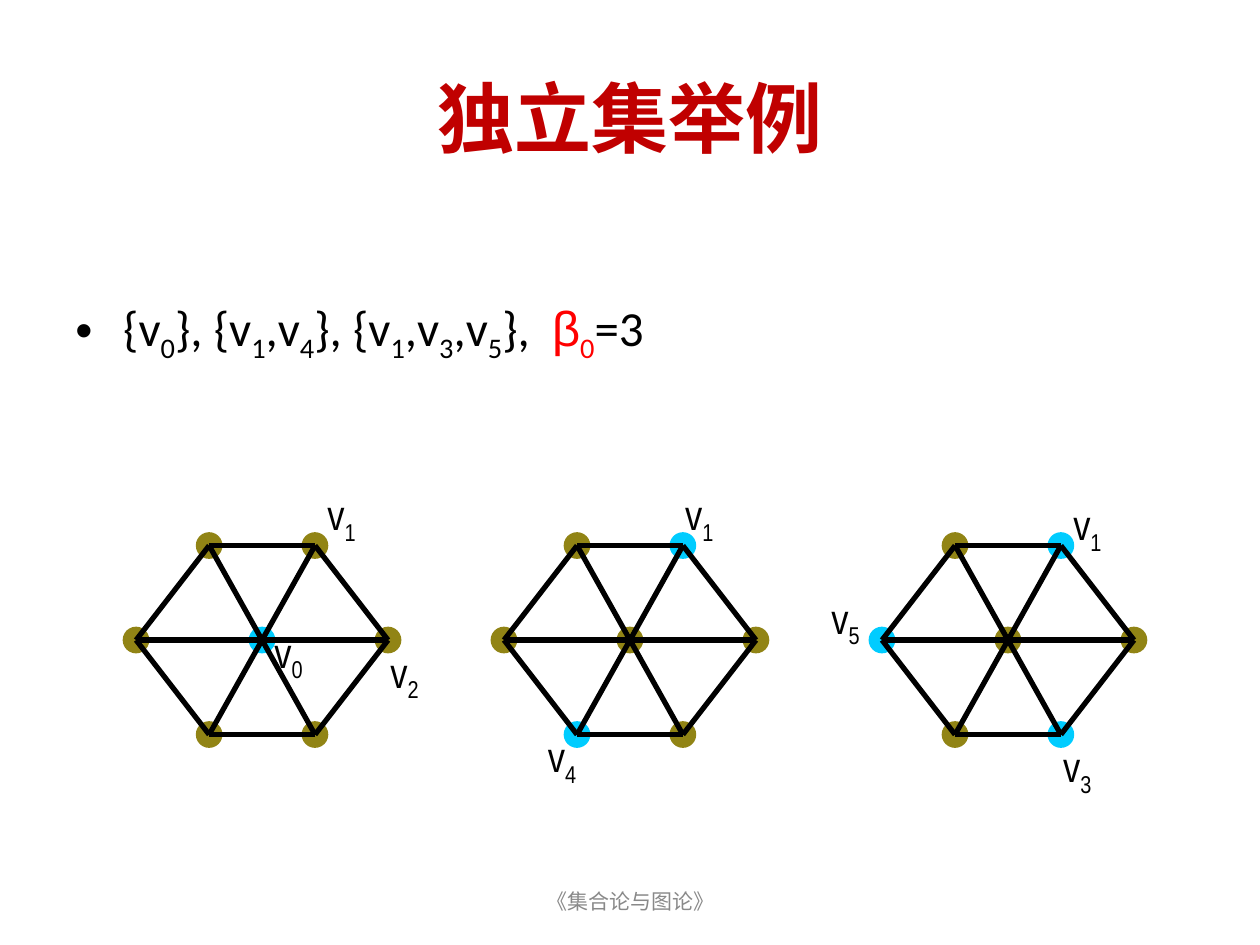
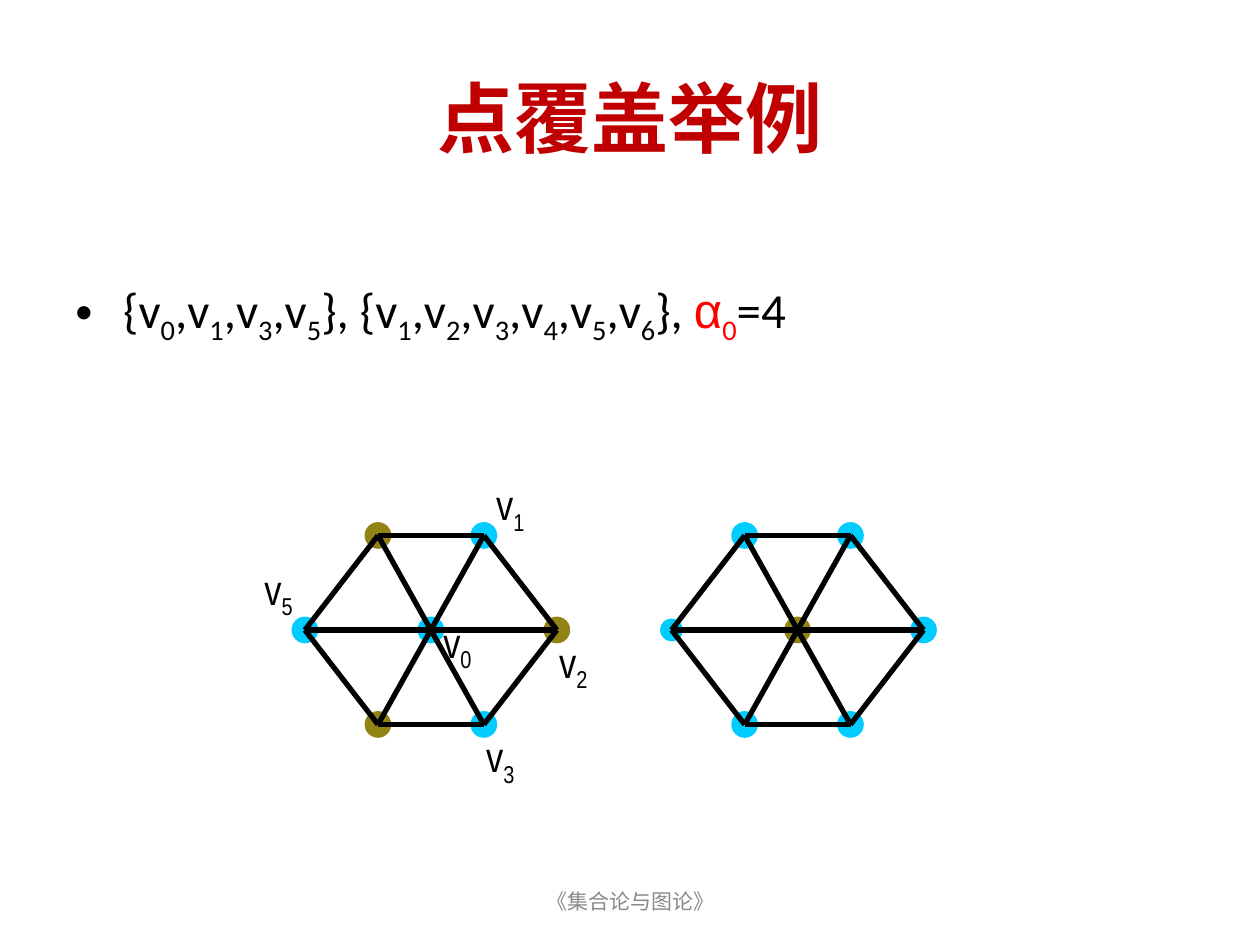
from lxml import etree
from pptx import Presentation
from pptx.dml.color import RGBColor
from pptx.enum import shapes, text
from pptx.oxml.ns import qn
from pptx.util import Inches, Pt

COLORS = {
    "title": "C00000", "ink": "000000", "key": "FF0000", "footer": "898989",
    "plain": "918415", "chosen": "00CCFF",
}

# Wheel graph: hub v0 and rim v1..v6 clockwise, in inches within a 2 x 1.5 box
VERTICES = [(1, 0.75), (1.42, 0), (2, 0.75), (1.42, 1.5), (0.58, 1.5), (0, 0.75), (0.58, 0)]
EDGES = [(i, i % 6 + 1) for i in range(1, 7)] + [(0, i) for i in range(1, 7)]
DOT = 0.17
# Corner of each label box, measured from its vertex
LABEL_OFFSETS = {0: (0, -0.16), 1: (0, -0.5), 2: (-0.08, 0), 3: (-0.08, 0),
                 4: (-0.33, -0.08), 5: (-0.42, -0.58)}


def rgb(name):
    return RGBColor.from_string(COLORS[name])


def style_run(run, size, font, color, bold=False):
    run.font.size = Pt(size)
    run.font.name = font
    run.font.bold = bold
    run.font.color.rgb = rgb(color)


def add_text_frame(slide, left, top, width, height, anchor=text.MSO_ANCHOR.TOP):
    frame = slide.shapes.add_textbox(*map(Inches, (left, top, width, height))).text_frame
    frame.word_wrap = True
    frame.vertical_anchor = anchor
    return frame


def add_math(paragraph, formula, size, font, color="ink"):
    """Write a formula in which _ lowers the single character after it."""
    base, *rest = formula.split("_")
    pieces = [(base, False)]
    for part in rest:
        pieces += [(part[0], True), (part[1:], False)]
    for content, lowered in pieces:
        if content:
            run = paragraph.add_run()
            run.text = content
            style_run(run, size, font, color)
            if lowered:
                run._r.get_or_add_rPr().set("baseline", "-25000")


def add_centred_line(slide, box, content, size, font, color, bold=False):
    paragraph = add_text_frame(slide, *box, text.MSO_ANCHOR.MIDDLE).paragraphs[0]
    paragraph.text = content
    paragraph.alignment = text.PP_ALIGN.CENTER
    style_run(paragraph.runs[0], size, font, color, bold)


def add_statement(slide, top, sets, greek, value):
    """Bulleted line: the sets, then the graph number in red and its value."""
    paragraph = add_text_frame(slide, 0.5, top, 9, 1.1).paragraphs[0]
    paragraph.space_before = Pt(7)
    properties = paragraph._p.get_or_add_pPr()
    properties.set("marL", str(Inches(0.38)))
    properties.set("indent", str(Inches(-0.38)))
    etree.SubElement(properties, qn("a:buFont")).set("typeface", "Arial")
    etree.SubElement(properties, qn("a:buChar")).set("char", "•")
    add_math(paragraph, sets, 28, "Calibri")
    add_math(paragraph, greek, 28, "Arial", "key")
    add_math(paragraph, "_0", 28, "Calibri", "key")
    add_math(paragraph, value, 28, "Calibri")


def add_wheel(slide, left, top, chosen, labels=(), offsets=None, thin=()):
    """Draw the wheel graph with its chosen vertices coloured."""
    points = [(left + x, top + y) for x, y in VERTICES]
    offsets = {**LABEL_OFFSETS, **(offsets or {})}

    # Vertices
    for i, (x, y) in enumerate(points):
        color = rgb("chosen" if i in chosen else "plain")
        vertex = slide.shapes.add_shape(
            shapes.MSO_SHAPE.OVAL, Inches(x - DOT / 2), Inches(y - DOT / 2),
            Inches(DOT), Inches(DOT))
        vertex.shadow.inherit = False
        vertex.fill.solid()
        vertex.fill.fore_color.rgb = color
        vertex.line.color.rgb = color
        vertex.line.width = Pt(0.75 if i in thin else 3)

    # Edges
    for start, end in EDGES:
        edge = slide.shapes.add_connector(
            shapes.MSO_CONNECTOR.STRAIGHT, *map(Inches, points[start] + points[end]))
        edge.line.color.rgb = rgb("ink")
        edge.line.width = Pt(3)
        etree.SubElement(edge._element.spPr, qn("a:effectLst"))

    # Labels
    for i in labels:
        (x, y), (dx, dy) = points[i], offsets[i]
        frame = add_text_frame(slide, x + dx, y + dy, 0.5, 0.56)
        frame.auto_size = text.MSO_AUTO_SIZE.SHAPE_TO_FIT_TEXT
        frame.paragraphs[0].space_before = Pt(15)
        add_math(frame.paragraphs[0], f"v_{i}", 24, "Arial Narrow")


def add_example_slide(deck, title):
    slide = deck.slides.add_slide(deck.slide_layouts[6])
    add_centred_line(slide, (0.5, 0.3, 9, 1.25), title, 44, "Calibri", "title", bold=True)
    add_centred_line(slide, (3.42, 6.95, 3.17, 0.4), "《集合论与图论》", 12, "Arial", "footer")
    return slide


def main():
    deck = Presentation()
    deck.slide_width, deck.slide_height = Inches(10), Inches(7.5)

    # Independent sets
    independent = add_example_slide(deck, "独立集举例")
    add_statement(independent, 2.31, "{v_0}, {v_1,v_4}, {v_1,v_3,v_5},  ", "β", "=3")
    add_wheel(independent, 1.08, 4.33, {0}, (0, 1, 2))
    add_wheel(independent, 4, 4.33, {1, 4}, (1, 4), {1: (-0.08, -0.5)})
    add_wheel(independent, 7, 4.33, {1, 3, 5}, (1, 3, 5), {1: (0, -0.42), 5: (-0.5, -0.43)})

    # Vertex covers
    cover = add_example_slide(deck, "点覆盖举例")
    add_statement(cover, 2.17, "{v_0,v_1,v_3,v_5}, {v_1,v_2,v_3,v_4,v_5,v_6}, ", "α", "=4")
    add_wheel(cover, 2.42, 4.25, {0, 1, 3, 5}, (0, 1, 2, 3, 5))
    add_wheel(cover, 5.33, 4.25, set(range(1, 7)), thin={5})

    deck.save("out.pptx")


if __name__ == "__main__":
    main()
